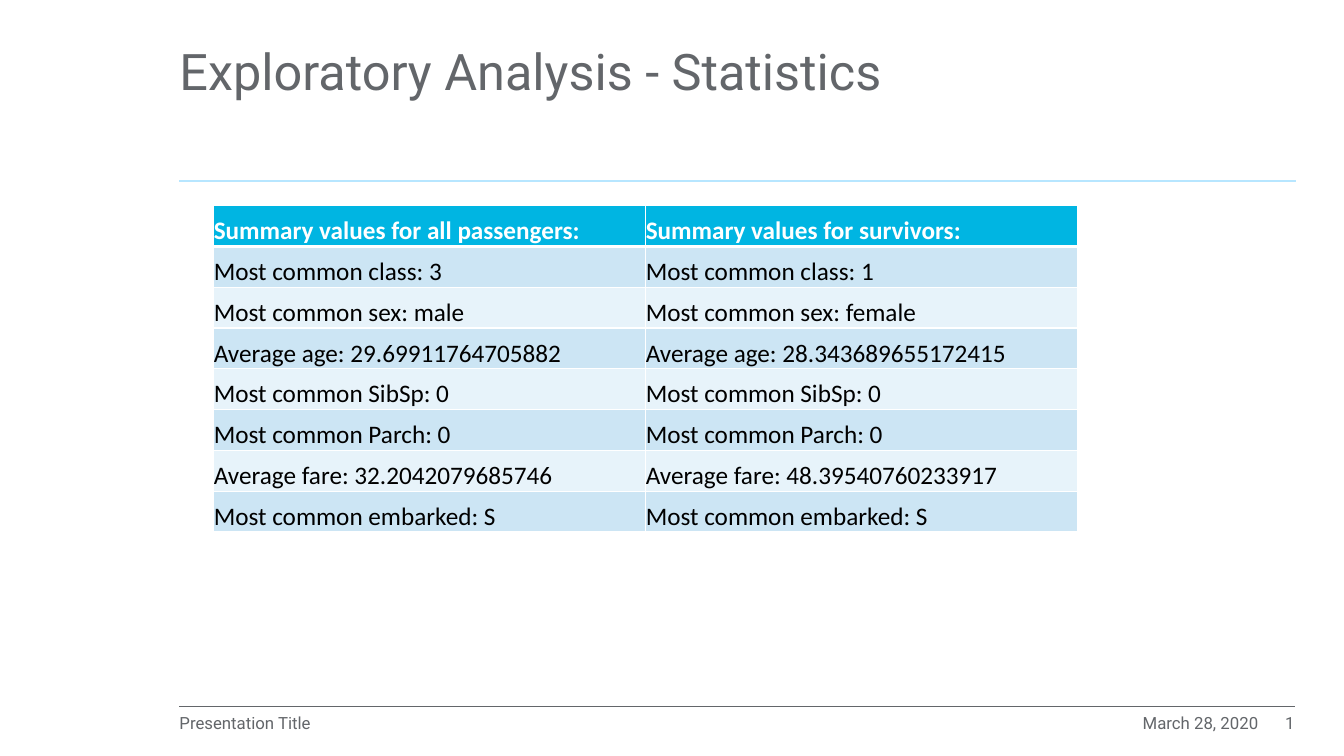
from lxml.etree import SubElement
from pptx import Presentation
from pptx.dml.color import RGBColor
from pptx.enum.shapes import MSO_CONNECTOR
from pptx.enum.text import MSO_ANCHOR, PP_ALIGN
from pptx.oxml import parse_xml
from pptx.oxml.ns import nsdecls, qn
from pptx.util import Inches, Pt


def color(code):
    return RGBColor.from_string(code)


def style(para, font, size, code, bold=False):
    para.font.name = font
    para.font.size = Pt(size)
    para.font.color.rgb = color(code)
    para.font.bold = bold


deck = Presentation()
deck.slide_width = Inches(13.33)
deck.slide_height = Inches(7.5)
slide = deck.slides.add_slide(deck.slide_layouts[6])

rules = [(1.8, 12.85, "B7E6FF", 1.5), (7.01, 12.84, "63666A", 0.25)]
for y, right, code, width in rules:
    rule = slide.shapes.add_connector(
        MSO_CONNECTOR.STRAIGHT, Inches(1.78), Inches(y), Inches(right), Inches(y)
    )
    rule.line.color.rgb = color(code)
    rule.line.width = Pt(width)
    SubElement(rule._element.spPr, qn("a:effectLst"))

left, right = PP_ALIGN.LEFT, PP_ALIGN.RIGHT
top, middle = MSO_ANCHOR.TOP, MSO_ANCHOR.MIDDLE
labels = [
    ("Exploratory Analysis - Statistics", 1.78, 0.24, 9.84, 1, 36, left, middle, 0.9),
    ("March 28, 2020", 10.43, 7.08, 2.05, 0.2, 12, right, top, 0.99),
    ("Presentation Title", 1.78, 7.08, 2.94, 0.2, 12, left, top, 0.99),
    ("1", 12.48, 7.08, 0.36, 0.2, 12, right, top, 0.99),
]
for text, x, y, width, height, size, align, anchor, spacing in labels:
    box = slide.shapes.add_textbox(Inches(x), Inches(y), Inches(width), Inches(height))
    frame = box.text_frame
    frame.word_wrap = True
    frame.margin_left = frame.margin_right = 0
    frame.margin_top = frame.margin_bottom = 0
    frame.vertical_anchor = anchor
    para = frame.paragraphs[0]
    para.text = text
    para.alignment = align
    para.line_spacing = spacing
    style(para, "Roboto", size, "63666A")

rows = [
    ("Summary values for all passengers:", "Summary values for survivors:"),
    ("Most common class: 3", "Most common class: 1"),
    ("Most common sex: male", "Most common sex: female"),
    ("Average age: 29.69911764705882", "Average age: 28.343689655172415"),
    ("Most common SibSp: 0", "Most common SibSp: 0"),
    ("Most common Parch: 0", "Most common Parch: 0"),
    ("Average fare: 32.2042079685746", "Average fare: 48.39540760233917"),
    ("Most common embarked: S", "Most common embarked: S"),
]
table = slide.shapes.add_table(
    len(rows), 2, Inches(2.12), Inches(2.04), Inches(8.57), Inches(3.24)
).table
for i, row in enumerate(rows):
    head = i == 0
    fill = "00B5E2" if head else ("E7F3FA", "CCE5F4")[i % 2]
    for j, text in enumerate(row):
        cell = table.cell(i, j)
        cell.text = text
        cell.margin_left = cell.margin_right = 0
        cell.margin_top = cell.margin_bottom = 0
        cell.vertical_anchor = MSO_ANCHOR.BOTTOM
        cell.fill.solid()
        cell.fill.fore_color.rgb = color(fill)
        style(cell.text_frame.paragraphs[0], "Calibri", 18, "FFFFFF" if head else "000000", head)
        props = cell._tc.get_or_add_tcPr()
        for k, side in enumerate("LRTB"):
            thick = (i, side) in [(0, "B"), (1, "T")]
            props.insert(k, parse_xml(
                f'<a:ln{side} {nsdecls("a")} w="{Pt(3 if thick else 1)}">'
                f'<a:solidFill><a:srgbClr val="FFFFFF"/></a:solidFill></a:ln{side}>'
            ))

deck.save("out.pptx")
